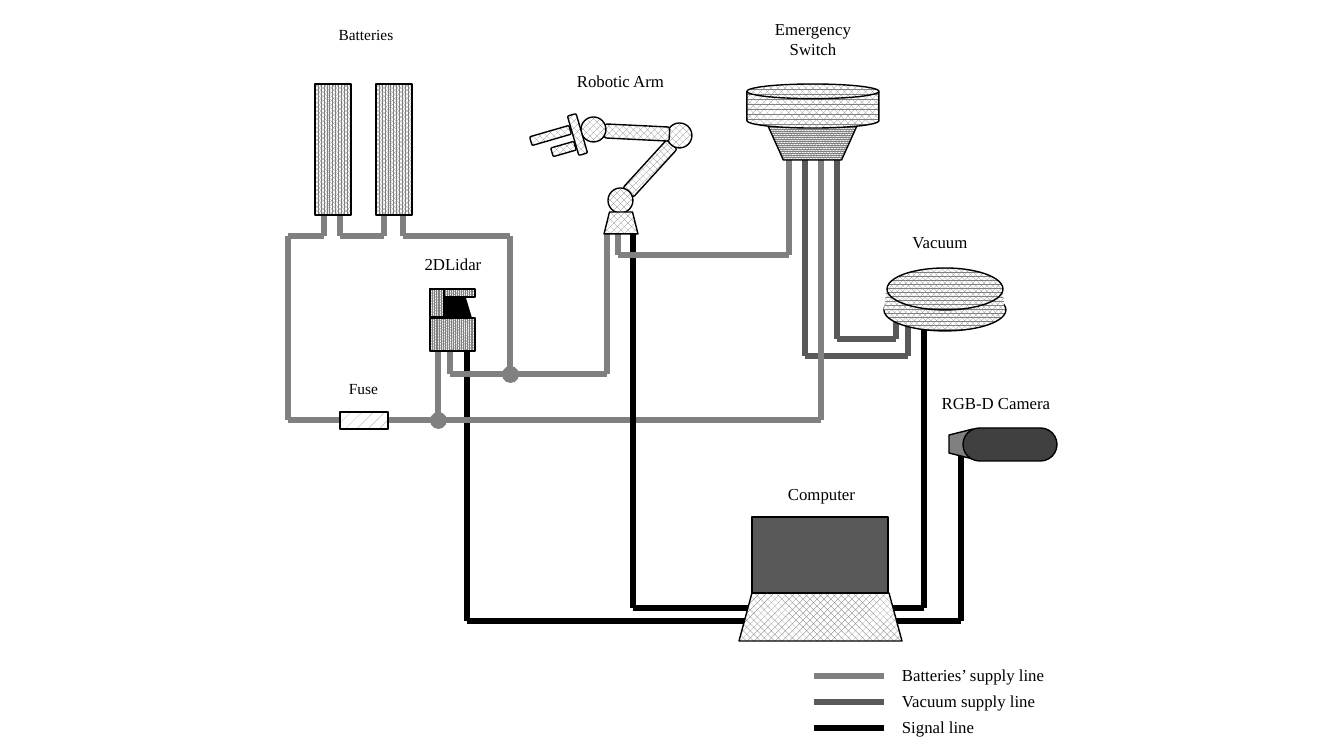
from lxml import etree
from pptx import Presentation
from pptx.dml.color import RGBColor
from pptx.enum.dml import MSO_PATTERN as PAT
from pptx.enum.shapes import MSO_CONNECTOR, MSO_SHAPE as SHP
from pptx.enum.text import PP_ALIGN
from pptx.oxml.ns import qn
from pptx.util import Pt

RECT, ROUND, OVAL = SHP.RECTANGLE, SHP.ROUNDED_RECTANGLE, SHP.OVAL
TRAP = SHP.TRAPEZOID
DRUM = SHP.FLOWCHART_DIRECT_ACCESS_STORAGE
FUNNEL = SHP.FLOWCHART_MANUAL_OPERATION
P10, P50, P70 = PAT.PERCENT_10, PAT.PERCENT_50, PAT.PERCENT_70
P75, P80, P90 = PAT.PERCENT_75, PAT.PERCENT_80, PAT.PERCENT_90
STRAIGHT = MSO_CONNECTOR.STRAIGHT
LEFT, MID = PP_ALIGN.LEFT, PP_ALIGN.CENTER

SCALE = 914400 / 100.8
WIDE, HIGH = 1344, 756
GREY, DARK, BLACK, WHITE = "808080", "595959", "000000", "FFFFFF"
COAL = "404040"
FACE = "Times New Roman"

WIRES = [
    (BLACK, [(961, 444), (961, 621), (467, 621), (467, 349)]),
    (DARK, [(837, 160), (837, 339), (896, 339), (896, 318)]),
    (DARK, [(805, 160), (805, 356), (908, 356), (908, 318)]),
    (GREY, [(324, 214), (324, 236), (288, 236), (288, 420), (340, 420)]),
    (GREY, [(340, 214), (340, 236), (384, 236), (384, 214)]),
    (GREY, [(403, 214), (403, 236), (510, 236), (510, 374)]),
    (GREY, [(388, 420), (821, 420), (821, 160)]),
    (GREY, [(450, 351), (450, 374), (607, 374), (607, 233)]),
    (GREY, [(438, 351), (438, 420)]),
    (BLACK, [(633, 233), (633, 608), (924, 608), (924, 316)]),
    (GREY, [(618, 233), (618, 255), (789, 255), (789, 160)]),
]

FUSE = [(RECT, (340, 412, 48, 17), {"dots": P10})]
CELLS = [(RECT, (x, 84, 36, 131), {"dots": P80}) for x in (315, 376)]
VACUUM = [
    (OVAL, (884, 289, 122, 42), {"dots": P75}),
    (TRAP, (884, 289, 121, 21), {"dots": P75, "adj": 0.12, "edge": None}),
    (OVAL, (887, 268, 116, 42), {"dots": P75}),
]
CAMERA = [
    (TRAP, (946, 432, 30, 24), {"turn": 270}),
    (ROUND, (963, 428, 94, 33), {"fill": COAL, "adj": 0.5}),
]
ARM = [(kind, box, {"dots": P50, "turn": turn}) for kind, box, turn in [
    (ROUND, (643, 136, 14, 65), 42.4),
    (OVAL, (667, 123, 25, 25), 0),
    (ROUND, (630, 100, 14, 65), 272.8),
    (OVAL, (581, 117, 25, 25), 0),
    (OVAL, (608, 188, 25, 25), 0),
    (TRAP, (604, 212, 34, 22), 0),
    (ROUND, (573, 114, 9, 41), 343.8),
    (ROUND, (546, 115, 9, 41), 73.8),
    (ROUND, (559, 137, 9, 24), 73.8),
]]
SWITCH = [
    (FUNNEL, (764, 117, 97, 43), {"dots": P90}),
    (DRUM, (791, 40, 44, 132), {"dots": P70, "turn": 270}),
]
LIDAR = [
    (RECT, (430, 318, 45, 33), {"dots": P90}),
    (TRAP, (431, 297, 40, 20), {"fill": BLACK, "adj": 0.3}),
    (RECT, (430, 289, 45, 8), {"dots": P90}),
    (RECT, (430, 289, 14, 28), {"dots": P90}),
]
LAPTOP = [
    (TRAP, (739, 593, 163, 48), {"dots": P50, "fill": DARK, "adj": 0.27}),
    (RECT, (752, 517, 136, 76), {"fill": DARK}),
]
NODES = [(OVAL, (x - 8, y - 8, 17, 17), {"edge": None})
         for x, y in ((510, 374), (438, 420))]

LABELS = [
    (["Fuse"], (339, 374, 49, 29), 11),
    (["Batteries"], (328, 20, 76, 29), 11),
    (["Vacuum"], (901, 227, 78, 30), 12),
    (["RGB-D Camera"], (931, 388, 130, 30), 12),
    (["Robotic Arm"], (566, 66, 109, 30), 12),
    (["Emergency", "Switch"], (764, 14, 98, 50), 12),
    (["2DLidar"], (414, 249, 78, 30), 12),
    (["Computer"], (777, 479, 89, 30), 12),
]
LEGEND = [("Batteries’ supply line", GREY), ("Vacuum supply line", DARK),
          ("Signal line", BLACK)]
KEY_X, KEY_Y, KEY_W, STEP = 814, 676, 70, 26


def emu(vals):
    return [round(v * SCALE) for v in vals]


def tint(code):
    return RGBColor.from_string(code)


def wire(ends, code):
    link = slide.shapes.add_connector(STRAIGHT, *emu(ends))
    link.line.color.rgb = tint(code)
    link.line.width = Pt(4.5)
    etree.SubElement(link._element.spPr, qn("a:effectLst"))


def part(kind, box, dots=None, fill=GREY, edge=BLACK, turn=0, adj=None):
    item = slide.shapes.add_shape(kind, *emu(box))
    item.shadow.inherit = False
    item.rotation = turn
    if adj is not None:
        item.adjustments[0] = adj
    if dots is None:
        item.fill.solid()
        item.fill.fore_color.rgb = tint(fill)
    else:
        item.fill.patterned()
        item.fill.pattern = dots
        item.fill.fore_color.rgb = tint(fill)
        item.fill.back_color.rgb = tint(WHITE)
    if edge is None:
        item.line.fill.background()
    else:
        item.line.color.rgb = tint(edge)
        item.line.width = Pt(1)


def label(rows, box, size, side=MID):
    frame = slide.shapes.add_textbox(*emu(box)).text_frame
    frame.word_wrap = False
    frame.text = "\n".join(rows)
    for para in frame.paragraphs:
        para.alignment = side
        font = para.runs[0].font
        for name, val in {"name": FACE, "size": Pt(size)}.items():
            setattr(font, name, val)
        font.color.rgb = tint(BLACK)


deck = Presentation()
deck.slide_width, deck.slide_height = emu((WIDE, HIGH))
slide = deck.slides.add_slide(deck.slide_layouts[6])

for code, stops in WIRES:
    for start, end in zip(stops, stops[1:]):
        wire(start + end, code)

for group in (FUSE, CELLS, VACUUM, CAMERA, ARM, SWITCH, LIDAR, LAPTOP, NODES):
    for kind, box, look in group:
        part(kind, box, **look)

for rows, box, size in LABELS:
    label(rows, box, size)

for i, (text, code) in enumerate(LEGEND):
    y = KEY_Y + i * STEP
    wire((KEY_X, y, KEY_X + KEY_W, y), code)
    label([text], (892, y - 16, 164, 30), 12, LEFT)

deck.save("out.pptx")
